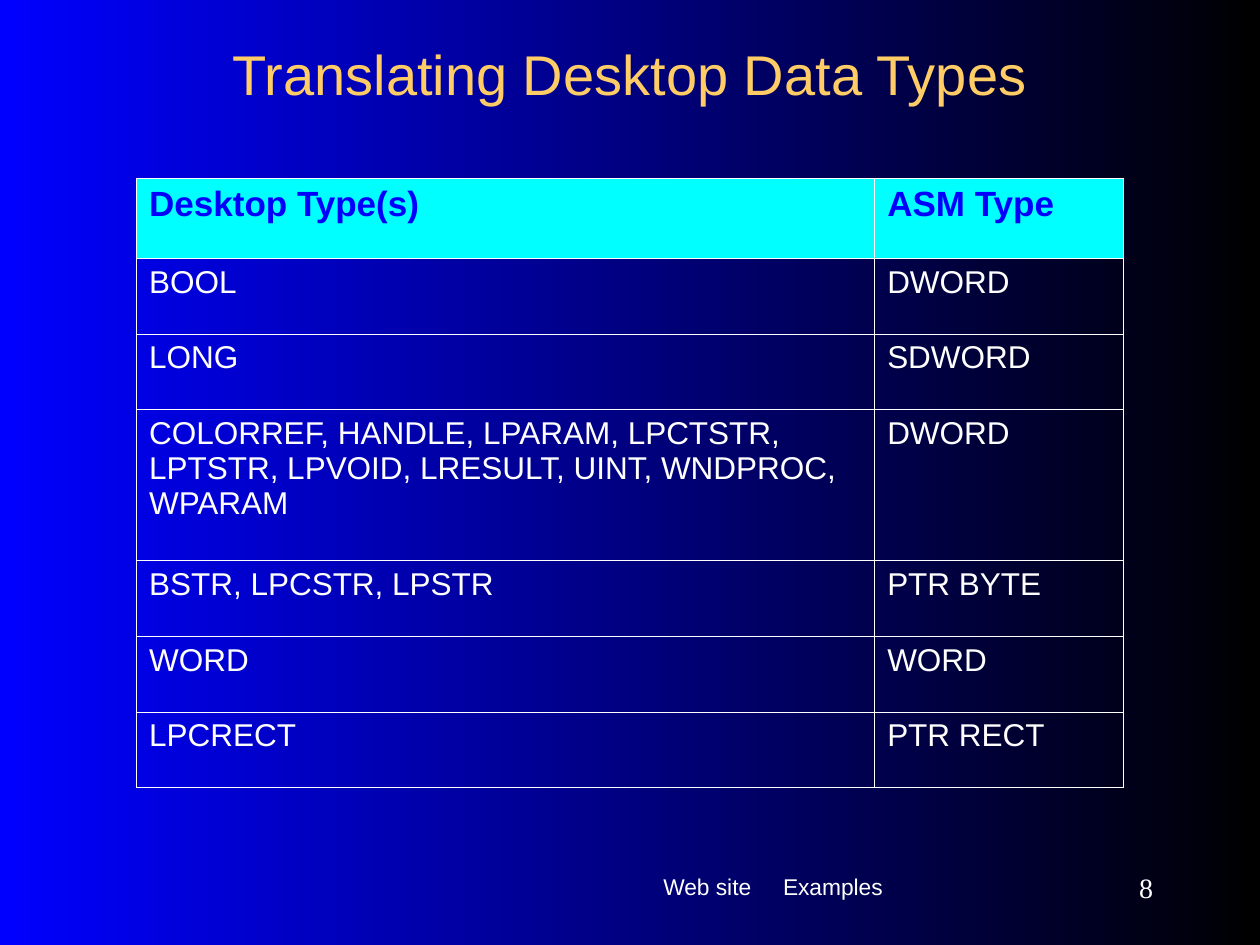
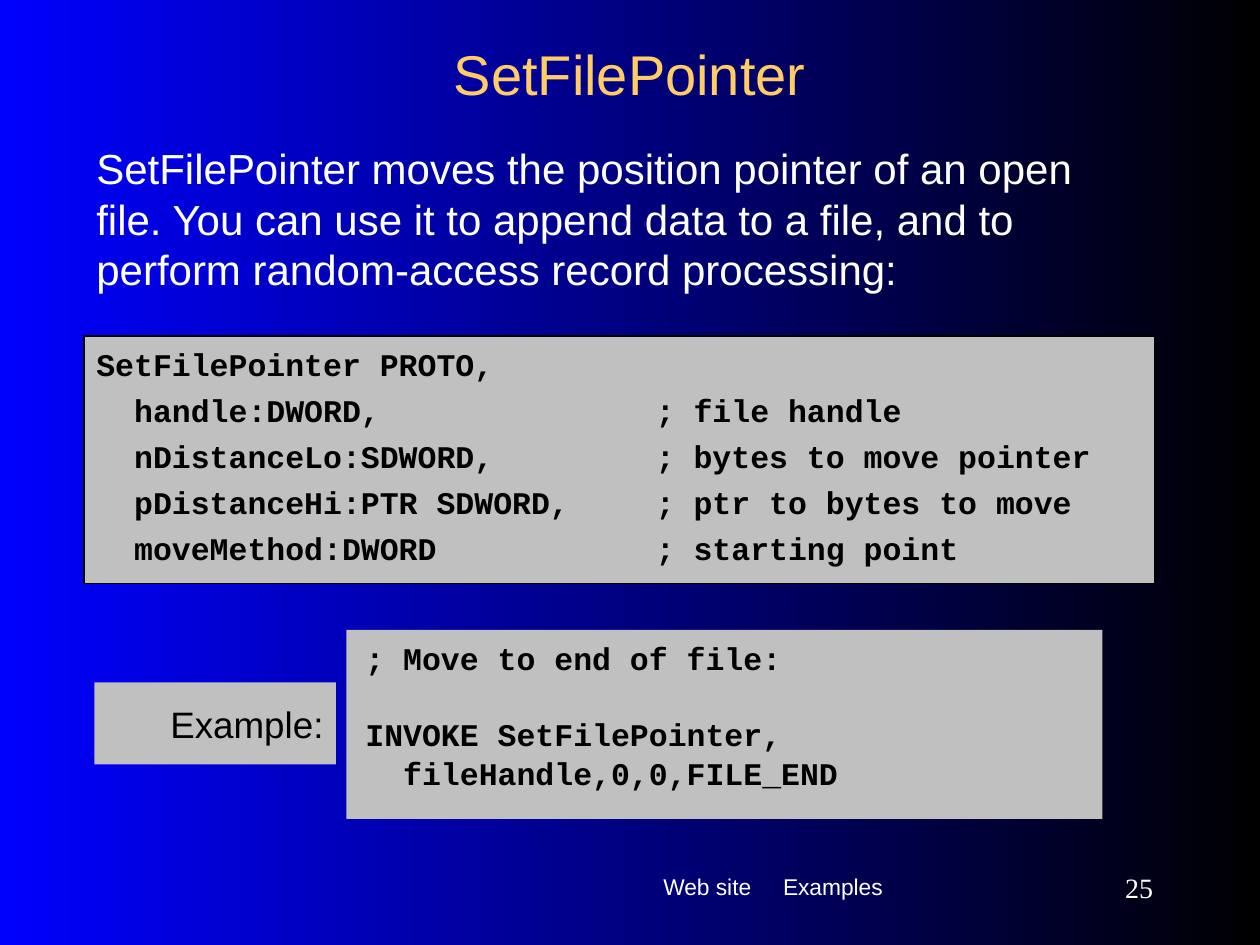
"""Build two slides on assembly data types and the SetFilePointer call."""
from dataclasses import dataclass

from lxml.etree import SubElement
from pptx import Presentation
from pptx.dml.color import RGBColor
from pptx.enum.shapes import MSO_SHAPE
from pptx.enum.text import MSO_ANCHOR, PP_ALIGN
from pptx.oxml import parse_xml
from pptx.oxml.ns import nsdecls, qn
from pptx.util import Inches, Pt


@dataclass(frozen=True)
class Theme:
    black: str = "000000"
    blue: str = "0000FF"
    cyan: str = "00FFFF"
    gold: str = "FFCC66"
    white: str = "FFFFFF"
    panel: str = "C0C0C0"
    sans: str = "Arial"
    mono: str = "Courier New"
    serif: str = "Times New Roman"
    title: int = 32
    body: int = 24
    label: int = 21
    heading: int = 20
    code: int = 18
    number: int = 16
    footer: int = 13
    outer_border: float = 1.08
    inner_border: float = 0.45


theme = Theme()
deck = Presentation()
deck.slide_width, deck.slide_height = Inches(10), Inches(7.5)
column, row = deck.slide_width / 120, deck.slide_height / 90


def area(left, top, width, height):
    return [round(n * unit) for n, unit in zip((left, top, width, height), (column, row) * 2)]


def write(frame, lines, font, size, color, bold=False, align=PP_ALIGN.LEFT,
          anchor=MSO_ANCHOR.TOP, inset=(0.1, 0.05), tabs=(), line_spacing=None, before=0):
    frame.word_wrap = True
    frame.vertical_anchor = anchor
    frame.margin_left = frame.margin_right = Inches(inset[0])
    frame.margin_top = frame.margin_bottom = Inches(inset[1])
    frame.text = "\n".join(lines)
    for paragraph in frame.paragraphs:
        paragraph.alignment = align
        paragraph.line_spacing = line_spacing
        paragraph.space_before = Pt(before)
        if tabs:
            stops = SubElement(paragraph._p.get_or_add_pPr(), qn("a:tabLst"))
            for position in tabs:
                SubElement(stops, qn("a:tab"), pos=str(Inches(position)), algn="l")
        for run in paragraph.runs:
            run.font.name, run.font.size, run.font.bold = font, Pt(size), bold
            run.font.color.rgb = RGBColor.from_string(color)


slides = []
for heading, number in (("Translating Desktop Data Types", "8"), ("SetFilePointer", "25")):
    slide = deck.slides.add_slide(deck.slide_layouts[6])
    backdrop = slide.background.fill
    backdrop.gradient()
    backdrop.gradient_angle = 180
    for stop, color in zip(backdrop.gradient_stops, (theme.black, theme.blue)):
        stop.color.rgb = RGBColor.from_string(color)
    footer = slide.shapes.add_textbox(*area(62, 81.8, 41, 6.2))
    write(footer.text_frame, ["Web site\tExamples"], theme.sans, theme.footer, theme.white,
          inset=(0.1, 0.15), tabs=(0.95,))
    title = slide.shapes.add_textbox(*area(9, 3, 102, 8))
    write(title.text_frame, [heading], theme.sans, theme.title, theme.gold,
          align=PP_ALIGN.CENTER, anchor=MSO_ANCHOR.MIDDLE)
    page = slide.shapes.add_textbox(*area(98, 82, 13, 5))
    write(page.text_frame, [number], theme.serif, theme.number, theme.white,
          align=PP_ALIGN.RIGHT, anchor=MSO_ANCHOR.MIDDLE)
    slides.append(slide)
types_slide, pointer_slide = slides

type_pairs = [
    ("Desktop Type(s)", "ASM Type"),
    ("BOOL", "DWORD"),
    ("LONG", "SDWORD"),
    ("COLORREF, HANDLE, LPARAM, LPCTSTR, LPTSTR, LPVOID, LRESULT, UINT, WNDPROC, WPARAM", "DWORD"),
    ("BSTR, LPCSTR, LPSTR", "PTR BYTE"),
    ("WORD", "WORD"),
    ("LPCRECT", "PTR RECT"),
]
types = types_slide.shapes.add_table(len(type_pairs), 2, *area(13, 17, 94, 58)).table
types.first_row = types.horz_banding = False
for type_column, share in zip(types.columns, (70.3, 23.7)):
    type_column.width = round(share * column)
last = len(type_pairs) - 1
for r, pair in enumerate(type_pairs):
    types.rows[r].height = round({0: 7.6, 3: 14.4}.get(r, 7.2) * row)
    for c, name in enumerate(pair):
        cell = types.cell(r, c)
        cell.margin_left = cell.margin_right = Inches(0.1)
        cell.margin_top = cell.margin_bottom = Inches(0.05)
        if r == 0:
            cell.fill.solid()
            cell.fill.fore_color.rgb = RGBColor.from_string(theme.cyan)
        else:
            cell.fill.background()
        cell.text = name
        cell.text_frame.paragraphs[0].space_before = Pt(4.5 if r else 5)
        font = cell.text_frame.paragraphs[0].runs[0].font
        font.name, font.bold = theme.sans, r == 0
        font.size = Pt(theme.code if r else theme.heading)
        font.color.rgb = RGBColor.from_string(theme.white if r else theme.blue)
        edges = (("L", c == 0), ("R", c == 1), ("T", r == 0), ("B", r == last))
        for place, (side, outer) in enumerate(edges):
            width = Pt(theme.outer_border if outer else theme.inner_border)
            cell._tc.get_or_add_tcPr().insert(place, parse_xml(
                f'<a:ln{side} {nsdecls("a")} w="{width}"><a:solidFill>'
                f'<a:srgbClr val="{theme.white}"/></a:solidFill></a:ln{side}>'))

summary = pointer_slide.shapes.add_textbox(*area(8, 13, 102, 18))
write(summary.text_frame, [
    "SetFilePointer moves the position pointer of an open file. You can use it to append "
    "data to a file, and to perform random-access record processing:",
], theme.sans, theme.body, theme.white, before=6)

prototype = [
    "SetFilePointer PROTO,",
    "\thandle:DWORD,\t; file handle",
    "\tnDistanceLo:SDWORD,\t; bytes to move pointer",
    "\tpDistanceHi:PTR SDWORD,\t; ptr to bytes to move",
    "\tmoveMethod:DWORD\t; starting point",
]
example = ["; Move to end of file:", "INVOKE SetFilePointer,", "\tfileHandle,0,0,FILE_END"]
code_style = dict(font=theme.mono, size=theme.code, color=theme.black, bold=True, before=11.2)
label_style = dict(font=theme.sans, size=theme.label, color=theme.black, align=PP_ALIGN.RIGHT)
panels = [
    ((8, 32, 102, 23.6), prototype,
     dict(code_style, inset=(0.1, 0.15), tabs=(0.3, 4.44), line_spacing=0.7)),
    ((33, 60, 72, 18), example,
     dict(code_style, inset=(0.15, 0.2), tabs=(0.3,), line_spacing=0.5)),
    ((9, 65, 23, 7.8), ["Example:"], dict(label_style, inset=(0.1, 0.15))),
]
panel_frames = []
for place, lines, style in panels:
    panel = pointer_slide.shapes.add_shape(MSO_SHAPE.RECTANGLE, *area(*place))
    panel.shadow.inherit = False
    panel.fill.solid()
    panel.fill.fore_color.rgb = RGBColor.from_string(theme.panel)
    if lines is prototype:
        panel.line.color.rgb = RGBColor.from_string(theme.black)
        panel.line.width = Pt(0.75)
    else:
        panel.line.fill.background()
    write(panel.text_frame, lines, **style)
    panel_frames.append(panel.text_frame)
panel_frames[1].paragraphs[1].space_before = Pt(33)

deck.save("out.pptx")
